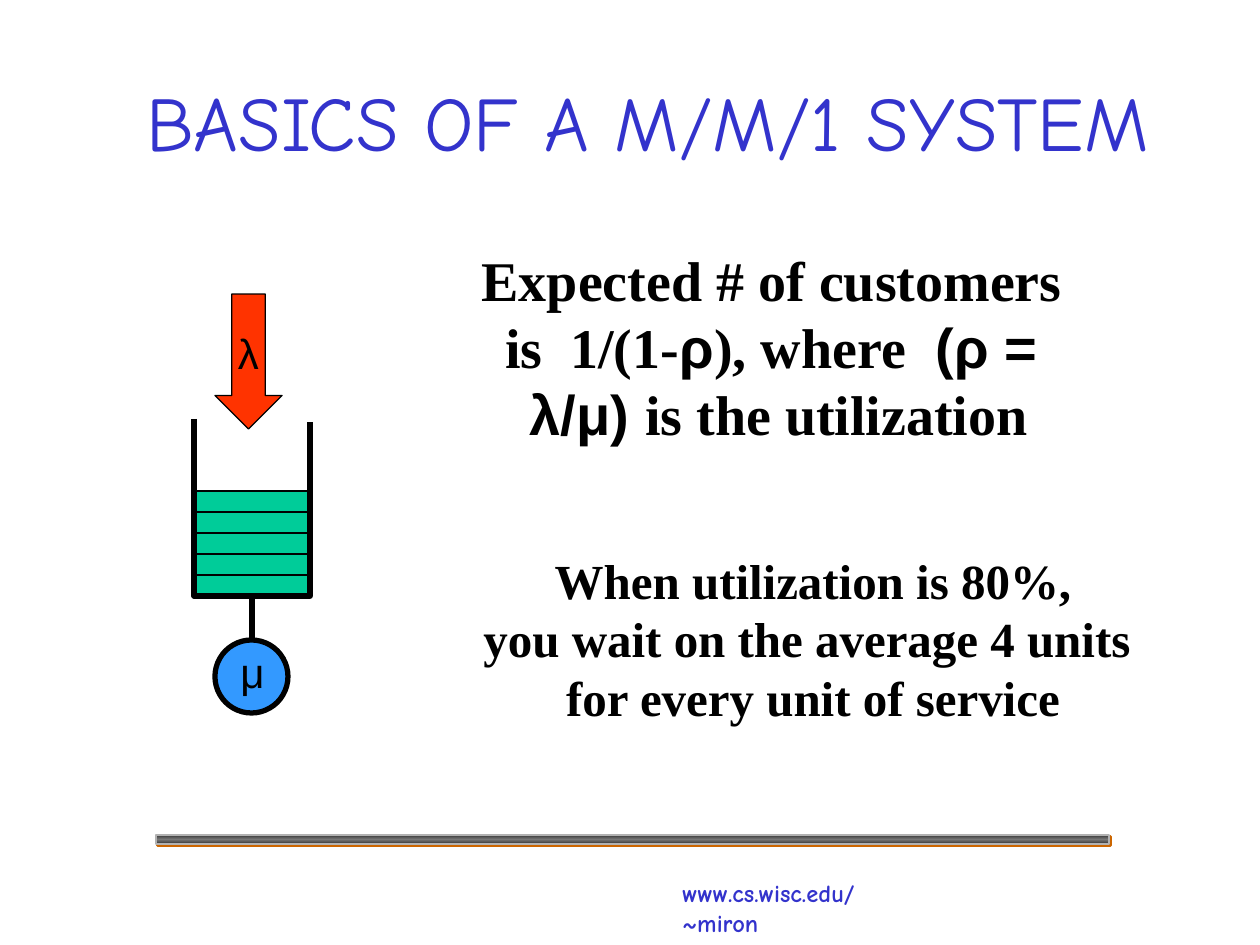
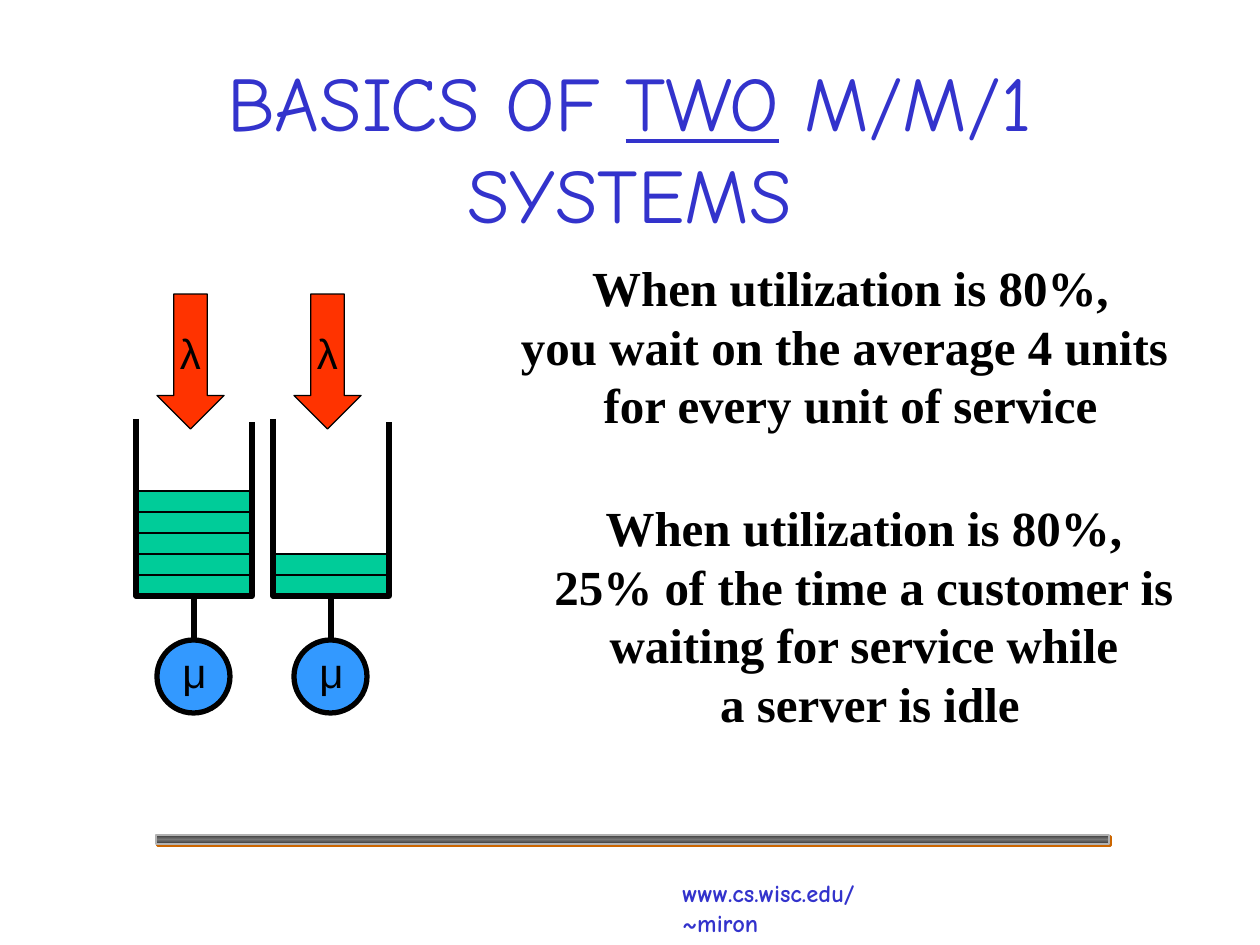
from copy import deepcopy
from dataclasses import dataclass, replace

from lxml.etree import SubElement
from pptx import Presentation
from pptx.dml.color import RGBColor
from pptx.enum.shapes import MSO_CONNECTOR, MSO_SHAPE
from pptx.enum.text import MSO_ANCHOR, MSO_AUTO_SIZE, PP_ALIGN
from pptx.oxml.ns import qn
from pptx.shapes.autoshape import Shape
from pptx.shapes.shapetree import GroupShapes
from pptx.slide import Slide
from pptx.text.text import TextFrame
from pptx.util import Pt

PIXELS_PER_INCH = 126
EMU_PER_PIXEL = 914400 / PIXELS_PER_INCH

BLACK = "000000"
TITLE_BLUE = "3333CC"
JOB_GREEN = "00CC99"
ARROW_RED = "FF3300"
SERVER_BLUE = "3399FF"
BAR_DARK = "363636"
BAR_LIGHT = "777777"
BAR_EDGE = "B2B2B2"
BAR_SHADOW = "CC6600"

QUEUE_WIDTH = 116
QUEUE_TOP = 419
QUEUE_BOTTOM = 596
JOB_HEIGHT = 21
SERVER_TOP = 640
SERVER_SIZE = 73
SIDE_INSET = 21


@dataclass(frozen=True)
class Box:
    left: int
    top: int
    width: int
    height: int


@dataclass(frozen=True)
class Style:
    font: str
    size: int
    color: str = BLACK
    bold: bool = False
    underline: bool = False


@dataclass(frozen=True)
class TextRun:
    text: str
    style: Style


@dataclass(frozen=True)
class QueueSystem:
    left: int
    jobs: int


Lines = list[list[TextRun]]

TITLE = Style("Comic Neue", 44, TITLE_BLUE)
FOOTER = Style("Comic Neue", 14, TITLE_BLUE, bold=True)
SYMBOL = Style("Arial", 24)
FORMULA_WORDS = Style("Times New Roman", 32, bold=True)
FORMULA_SYMBOLS = replace(FORMULA_WORDS, font="Arial")
STATEMENT = Style("Times New Roman", 28, bold=True)


def px(pixels: int) -> int:
    """Convert pixels to EMU."""
    return round(pixels * EMU_PER_PIXEL)


def rgb(color: str) -> RGBColor:
    return RGBColor.from_string(color)


def plain_lines(style: Style, *texts: str) -> Lines:
    """Give each text its own paragraph in one style."""
    return [[TextRun(text, style)] for text in texts]


WAITING_LINES = plain_lines(
    STATEMENT,
    "When utilization is 80%,",
    "you wait on the average 4 units ",
    "for every unit of service",
)


def write_text(frame: TextFrame, lines: Lines, align: PP_ALIGN, wrap: bool) -> None:
    frame.word_wrap = wrap
    for index, line in enumerate(lines):
        paragraph = frame.paragraphs[0] if index == 0 else frame.add_paragraph()
        paragraph.alignment = align
        for piece in line:
            run = paragraph.add_run()
            run.text = piece.text
            run.font.name = piece.style.font
            run.font.size = Pt(piece.style.size)
            run.font.bold = piece.style.bold
            run.font.underline = piece.style.underline
            run.font.color.rgb = rgb(piece.style.color)


def add_text(shapes: GroupShapes, box: Box, lines: Lines,
             align: PP_ALIGN = PP_ALIGN.CENTER, wrap: bool = False) -> TextFrame:
    text_box = shapes.add_textbox(px(box.left), px(box.top), px(box.width), px(box.height))
    frame = text_box.text_frame
    write_text(frame, lines, align, wrap)
    frame.auto_size = MSO_AUTO_SIZE.SHAPE_TO_FIT_TEXT
    return frame


def outline(shape: Shape, color: str, width: float) -> None:
    shape.shadow.inherit = False
    shape.line.color.rgb = rgb(color)
    shape.line.width = Pt(width)


def add_filled(shapes: GroupShapes, kind: MSO_SHAPE, box: Box,
               fill: str, line_width: float) -> Shape:
    shape = shapes.add_shape(kind, px(box.left), px(box.top), px(box.width), px(box.height))
    outline(shape, BLACK, line_width)
    shape.fill.solid()
    shape.fill.fore_color.rgb = rgb(fill)
    return shape


def add_bar(slide: Slide) -> None:
    """Draw the metallic bar with its hard offset shadow."""
    bar = slide.shapes.add_shape(MSO_SHAPE.RECTANGLE, px(156), px(835), px(953), px(9))
    outline(bar, BAR_EDGE, 1.5)
    bar.fill.gradient()
    bar.fill.gradient_angle = 270
    properties = bar._element.spPr
    stop_list = properties.find(f".//{qn('a:gsLst')}")
    stop_list.append(deepcopy(stop_list[0]))
    bar_stops = zip(bar.fill.gradient_stops, (BAR_DARK, BAR_LIGHT, BAR_DARK), (0, 0.5, 1))
    for stop, color, position in bar_stops:
        stop.color.rgb = rgb(color)
        stop.position = position
    shadow = SubElement(properties.find(qn("a:effectLst")), qn("a:outerShdw"),
                        dist=str(Pt(1.4)), dir="2700000", algn="ctr", rotWithShape="0")
    SubElement(shadow, qn("a:srgbClr"), val=BAR_SHADOW)


def add_base(presentation: Presentation, title_box: Box, title: list[TextRun]) -> Slide:
    """Add a slide with footer, bar and title."""
    slide = presentation.slides.add_slide(presentation.slide_layouts[6])
    footer_lines = plain_lines(FOOTER, "www.cs.wisc.edu/~miron")
    add_text(slide.shapes, Box(670, 872, 273, 43), footer_lines, PP_ALIGN.LEFT)
    add_bar(slide)
    title_frame = add_text(slide.shapes, title_box, [title], wrap=True)
    title_frame.auto_size = MSO_AUTO_SIZE.NONE
    title_frame.vertical_anchor = MSO_ANCHOR.MIDDLE
    return slide


def add_queue_system(slide: Slide, system: QueueSystem) -> None:
    """Draw arrivals, waiting jobs and the server as one group."""
    shapes = slide.shapes.add_group_shape().shapes
    left, right = system.left, system.left + QUEUE_WIDTH
    center = left + QUEUE_WIDTH // 2

    for level in range(1, system.jobs + 1):
        job_box = Box(left, QUEUE_BOTTOM - level * JOB_HEIGHT, QUEUE_WIDTH, JOB_HEIGHT)
        add_filled(shapes, MSO_SHAPE.RECTANGLE, job_box, JOB_GREEN, 1)

    arrow = add_filled(shapes, MSO_SHAPE.DOWN_ARROW, Box(left + SIDE_INSET, 294, 67, 135),
                       ARROW_RED, 0.75)
    write_text(arrow.text_frame, plain_lines(SYMBOL, "λ"), PP_ALIGN.CENTER, False)
    arrow.text_frame.vertical_anchor = MSO_ANCHOR.MIDDLE

    link = shapes.add_connector(MSO_CONNECTOR.STRAIGHT, px(center), px(QUEUE_BOTTOM),
                                px(center), px(SERVER_TOP))
    link.line.color.rgb = rgb(BLACK)
    link.line.width = Pt(3)
    SubElement(link._element.spPr, qn("a:effectLst"))

    server_box = Box(left + SIDE_INSET, SERVER_TOP, SERVER_SIZE, SERVER_SIZE)
    add_filled(shapes, MSO_SHAPE.OVAL, server_box, SERVER_BLUE, 3)

    builder = shapes.build_freeform(px(left), px(QUEUE_TOP))
    corners = [(left, QUEUE_BOTTOM), (right, QUEUE_BOTTOM), (right, QUEUE_TOP + 3)]
    builder.add_line_segments([(px(x), px(y)) for x, y in corners], close=False)
    queue_walls = builder.convert_to_shape()
    outline(queue_walls, BLACK, 3)
    queue_walls.fill.background()

    add_text(shapes, Box(left + 34, SERVER_TOP, 49, 63), plain_lines(SYMBOL, "μ"))


def add_single_system_slide(presentation: Presentation) -> None:
    slide = add_base(presentation, Box(94, 42, 1108, 157),
                     [TextRun("BASICS OF A M/M/1 SYSTEM", TITLE)])
    add_queue_system(slide, QueueSystem(194, 5))
    formula = [
        TextRun("Expected # of customers  is  1/(1-", FORMULA_WORDS),
        TextRun("ρ", FORMULA_SYMBOLS),
        TextRun("), where ", FORMULA_WORDS),
        TextRun(" (ρ =  λ/μ) ", FORMULA_SYMBOLS),
        TextRun("is the utilization", FORMULA_WORDS),
    ]
    add_text(slide.shapes, Box(462, 239, 634, 282), [formula], wrap=True)
    add_text(slide.shapes, Box(471, 544, 684, 189), WAITING_LINES)


def add_two_systems_slide(presentation: Presentation) -> None:
    title = [
        TextRun("BASICS OF ", TITLE),
        TextRun("TWO", replace(TITLE, underline=True)),
        TextRun(" M/M/1 SYSTEMS", TITLE),
    ]
    slide = add_base(presentation, Box(94, 84, 1071, 126), title)
    for system in (QueueSystem(136, 5), QueueSystem(273, 2)):
        add_queue_system(slide, system)
    add_text(slide.shapes, Box(508, 251, 685, 248), WAITING_LINES, wrap=True)
    idle_lines = plain_lines(
        STATEMENT,
        "When utilization is 80%, ",
        "25% of the time a customer is ",
        "waiting for service while ",
        "a server is idle",
    )
    add_text(slide.shapes, Box(542, 491, 656, 248), idle_lines)


def main() -> None:
    presentation = Presentation()
    presentation.slide_width = px(1260)
    presentation.slide_height = px(945)
    add_single_system_slide(presentation)
    add_two_systems_slide(presentation)
    presentation.save("out.pptx")


if __name__ == "__main__":
    main()
